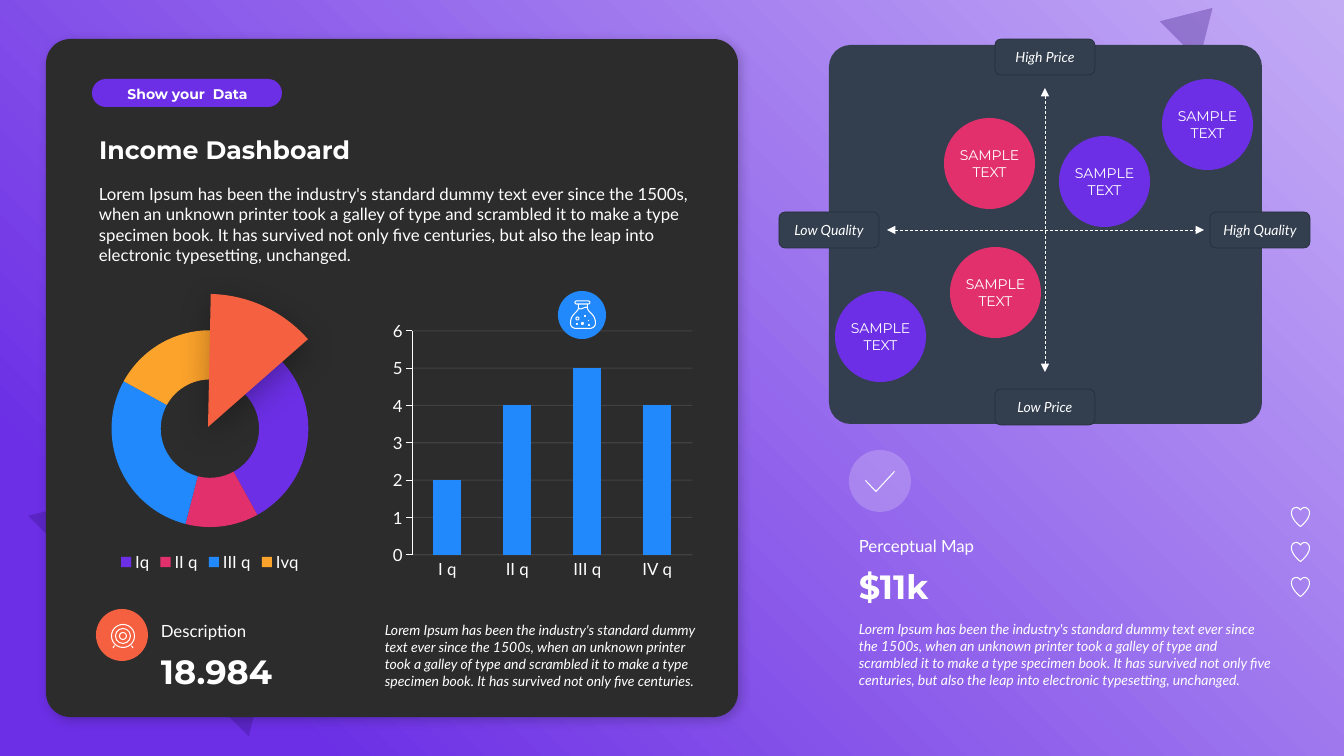
from lxml.etree import SubElement as Sub
from pptx import Presentation
from pptx.chart.data import CategoryChartData as Data
from pptx.dml.color import RGBColor as RGB
from pptx.enum.chart import XL_CHART_TYPE as Kind, XL_LEGEND_POSITION as Pos, XL_TICK_MARK as Tick
from pptx.enum.dml import MSO_LINE as Dash
from pptx.enum.shapes import MSO_CONNECTOR as Conn, MSO_SHAPE as Geo
from pptx.enum.text import MSO_ANCHOR as Anchor, MSO_AUTO_SIZE as Auto, PP_ALIGN as Align
from pptx.oxml.ns import qn
from pptx.util import Pt

UNIT = 12192000 / 1344
WHITE, DARK, SLATE = "FFFFFF", "2C2C2C", "333F4F"
VIOLET, PINK, BLUE, AMBER, CORAL = "6C2FE5", "E1306C", "2189FB", "FCA32C", "F56040"
LOREM = ("Lorem Ipsum has been the industry's standard dummy text ever since the 1500s, "
         "when an unknown printer took a galley of type and scrambled it to make a type "
         "specimen book. It has survived not only five centuries")
LONG = LOREM + ", but also the leap into electronic typesetting, unchanged."


def px(*nums):
    return [round(n * UNIT) for n in nums]


def paint(fill, color, alpha=100):
    fill.solid()
    fill.fore_color.rgb = RGB.from_string(color)
    if alpha < 100:
        tone = fill._xPr.find(".//" + qn("a:srgbClr"))
        Sub(tone, qn("a:alpha"), val=str(alpha * 1000))


def style(font, size, face="Lato", color=WHITE, bold=False, italic=False):
    font.size, font.name, font.bold, font.italic = Pt(size), face, bold, italic
    paint(font.fill, color)


def write(frame, text, align=Align.LEFT, anchor=Anchor.TOP, after=0, **font):
    frame.word_wrap, frame.auto_size = True, Auto.NONE
    frame.vertical_anchor = anchor
    par = frame.paragraphs[0]
    par.alignment, par.space_after = align, Pt(after)
    run = par.add_run()
    run.text = text
    style(run.font, **font)


def place(chart, x, y, w, h):
    """Fix the inner plot area, as shares of the chart frame."""
    area = chart._chartSpace.find(".//" + qn("c:plotArea"))
    for old in area.findall(qn("c:layout")):
        area.remove(old)
    box = Sub(area, qn("c:layout"))
    area.insert(0, box)
    box = Sub(box, qn("c:manualLayout"))
    Sub(box, qn("c:layoutTarget"), val="inner")
    for key in "xy":
        Sub(box, qn(f"c:{key}Mode"), val="edge")
    for key, val in zip("xywh", (x, y, w, h)):
        Sub(box, qn("c:" + key), val=str(val))


def bend(start, steps, parts=10):
    """Turn cubic curves (6 numbers) and lines (2 numbers) into points."""
    dots = [start]
    for step in steps:
        if len(step) == 2:
            dots.append(step)
            continue
        ctrl = [dots[-1], step[:2], step[2:4], step[4:]]
        for i in range(1, parts + 1):
            t = i / parts
            mix = ((1 - t) ** 3, 3 * t * (1 - t) ** 2, 3 * t * t * (1 - t), t ** 3)
            dots.append(tuple(sum(m * c[k] for m, c in zip(mix, ctrl)) for k in (0, 1)))
    return dots


class Board:
    def __init__(self, deck):
        self.page = deck.slides.add_slide(deck.slide_layouts[5])
        self.items = self.page.shapes

    def back(self, near, far):
        fill = self.page.background.fill
        fill.gradient()
        for stop, color, at in zip(fill.gradient_stops, (near, far), (0, 0.85)):
            stop.color.rgb, stop.position = RGB.from_string(color), at
        grad = self.page.element.find(".//" + qn("a:gradFill"))
        grad.remove(grad.find(qn("a:lin")))
        route = Sub(grad, qn("a:path"), path="circle")
        Sub(route, qn("a:fillToRect"), l="100000", b="100000")
        Sub(grad, qn("a:tileRect"), t="-100000", r="-100000")

    def finish(self, item, fill=None, alpha=100, line=None, width=0.75):
        item.shadow.inherit = False
        if fill:
            paint(item.fill, fill, alpha)
        else:
            item.fill.background()
        if line:
            paint(item.line.fill, line)
            item.line.width = Pt(width)
        else:
            item.line.fill.background()
        return item

    def shape(self, geo, box, adj=(), turn=0, **look):
        item = self.finish(self.items.add_shape(geo, *px(*box)), **look)
        item.rotation = turn
        for i, val in enumerate(adj):
            item.adjustments[i] = val
        return item

    def shade(self, item, alpha, blur, dist, angle):
        node = Sub(item._element.spPr.find(qn("a:effectLst")), qn("a:outerShdw"),
                   blurRad=str(Pt(blur)), dist=str(Pt(dist)), dir=str(angle * 60000),
                   algn="ctr", rotWithShape="0")
        Sub(Sub(node, qn("a:srgbClr"), val="000000"), qn("a:alpha"), val=str(alpha * 1000))

    def text(self, box, text, **form):
        write(self.items.add_textbox(*px(*box)).text_frame, text, **form)

    def title(self, box, text, **form):
        item = self.items.title
        item.left, item.top, item.width, item.height = px(*box)
        tree = item._element.getparent()
        tree.append(item._element)
        write(item.text_frame, text, **form)

    def arrow(self, *ends):
        item = self.items.add_connector(Conn.STRAIGHT, *px(*ends))
        paint(item.line.fill, WHITE)
        item.line.width, item.line.dash_style = Pt(0.5), Dash.DASH
        for end in ("headEnd", "tailEnd"):
            Sub(item.line._get_or_add_ln(), qn("a:" + end), type="triangle")
        Sub(item._element.spPr, qn("a:effectLst"))

    def stroke(self, x, y, start, *steps, close=False):
        """Draw a white outline; its points are tenths of a px from x, y."""
        dots = bend(start, steps)
        pen = self.items.build_freeform(*dots[0], scale=UNIT / 10)
        pen.add_line_segments(dots[1:], close=close)
        self.finish(pen.convert_to_shape(*px(x, y)), line=WHITE)

    def chart(self, kind, box, names, vals, size):
        data = Data()
        data.categories = names
        data.add_series("Series 1", vals)
        chart = self.items.add_chart(kind, *px(*box), data).chart
        style(chart.font, size)
        chart.has_title = chart.has_legend = False
        return chart


def main():
    deck = Presentation()
    deck.slide_width, deck.slide_height = px(1344, 756)
    board = Board(deck)
    mid = dict(align=Align.CENTER, anchor=Anchor.MIDDLE)
    head = dict(face="Montserrat", bold=True)
    note = dict(size=10, italic=True, after=6)

    # Backdrop and dark panel
    board.back("C4ACF5", VIOLET)
    for box in ((74, 405, 312, 259), (1168, 1, 56, 47)):
        board.shape(Geo.ISOSCELES_TRIANGLE, box, turn=45, fill="330F7B", alpha=30)
    panel = board.shape(Geo.ROUNDED_RECTANGLE, (46, 39, 692, 678), adj=[0.036], fill=DARK)
    board.shade(panel, 20, 8, 3, 45)

    # Heading
    board.text((89, 179, 621, 92), LONG, size=12, after=6)
    board.title((89, 130, 621, 40), "Income Dashboard", size=18, anchor=Anchor.BOTTOM, **head)
    board.shape(Geo.ROUNDED_RECTANGLE, (92, 79, 190, 28), adj=[0.5], fill=VIOLET)
    board.text((100, 80, 175, 27), "Show your  Data", size=10, **mid, **head)

    # Doughnut with raised wedge
    ring = board.chart(Kind.DOUGHNUT, (67, 316, 286, 260), ["Iq", "II q", "III q", "Ivq"],
                       (42, 12, 29, 17), 10)
    place(ring, 0.155, 0.055, 0.69, 0.757)
    ring.has_legend = True
    ring.legend.position, ring.legend.include_in_layout = Pos.BOTTOM, False
    style(ring.legend.font, 12)
    for i, color in enumerate((VIOLET, PINK, BLUE, AMBER)):
        part = ring.plots[0].series[0].points[i].format
        paint(part.fill, color)
        part.line.fill.background()
    wedge = board.shape(Geo.ARC, (75, 294, 266, 266), adj=[162.715, 191.224], fill=CORAL)
    board.shade(wedge, 30, 23, 6, 90)

    # Figures with a caption above
    for x, w, y, label, value in ((151, 187, 616, "Description", "18.984"),
                                  (849, 437, 531, "Perceptual Map", "$11k")):
        board.text((x, y, w, 30), label, size=12, anchor=Anchor.BOTTOM)
        board.text((x, y + 30, w, 50), value, size=24, anchor=Anchor.BOTTOM, **head)

    # Target icon
    board.shape(Geo.OVAL, (96, 609, 52, 52), fill=CORAL)
    for d in (23, 15, 7):
        board.shape(Geo.OVAL, (123 - d / 2, 636 - d / 2, d, d), line=WHITE)
    for top, foot in ((35, 20), (205, 220)):
        board.stroke(111, 624, (top, 215), (foot, 240))

    # Column chart
    bars = board.chart(Kind.COLUMN_CLUSTERED, (386, 316, 311, 269),
                       ["I q", "II q", "III q", "IV q"], (2, 4, 5, 4), 12)
    place(bars, 0.085, 0.055, 0.9, 0.833)
    plot = bars.plots[0]
    plot.gap_width, plot.vary_by_categories = 150, False
    paint(plot.series[0].format.fill, BLUE)
    cats, vals = bars.category_axis, bars.value_axis
    cats.major_tick_mark = Tick.NONE
    cats.format.line.fill.background()
    vals.minimum_scale, vals.maximum_scale, vals.major_unit = 0, 6, 1
    vals.major_tick_mark = Tick.OUTSIDE
    paint(vals.format.line.fill, WHITE)
    grid = vals.major_gridlines.format.line
    paint(grid.fill, WHITE, 10)
    grid.width = Pt(0.75)
    board.text((375, 617, 335, 78), LOREM + ".", **note)

    # Flask icon
    board.shape(Geo.OVAL, (558, 291, 48, 48), fill=BLUE)
    board.shape(Geo.ROUNDED_RECTANGLE, (575, 301, 15, 3), adj=[0.5], line=WHITE)
    board.stroke(570, 300, (85, 40), (85, 80), (85, 120, 5, 140, 5, 230),
                 (5, 285, 60, 285, 60, 285), (195, 285), (195, 285, 255, 285, 255, 230),
                 (255, 140, 175, 120, 175, 80), (175, 40))
    board.stroke(570, 300, (85, 80), (115, 110, 140, 60, 175, 75))
    board.shape(Geo.OVAL, (576, 317, 3, 3), line=WHITE)
    for x, y, d in ((576, 323, 2), (588, 324, 2), (588, 320, 1), (584, 315, 2), (581, 322, 3)):
        board.shape(Geo.OVAL, (x, y, d, d), fill=WHITE)

    # Perceptual map
    board.shape(Geo.ROUNDED_RECTANGLE, (829, 45, 433, 379), adj=[0.057], fill=SLATE)
    board.arrow(887, 230, 1204, 230)
    board.arrow(1045, 372, 1045, 88)
    for x, y, label in ((995, 39, "High Price"), (995, 389, "Low Price"),
                        (779, 212, "Low Quality"), (1210, 212, "High Quality")):
        tag = board.shape(Geo.ROUNDED_RECTANGLE, (x, y, 100, 36), fill=SLATE,
                          line="262F3B", width=0.5)
        write(tag.text_frame, label, size=10, italic=True, **mid)
    for x, y, color in ((944, 118, PINK), (950, 247, PINK), (835, 291, VIOLET),
                        (1059, 136, VIOLET), (1162, 79, VIOLET)):
        spot = board.shape(Geo.OVAL, (x, y, 91, 91), fill=color).text_frame
        spot.margin_left = spot.margin_right = 0
        write(spot, "SAMPLE TEXT", size=10, face="Montserrat", **mid)

    # Map summary, check mark and hearts
    board.text((849, 616, 437, 78), LONG, **note)
    board.shape(Geo.OVAL, (849, 450, 62, 62), fill=WHITE, alpha=20)
    board.stroke(865, 471, (5, 95), (110, 205), (295, 5))
    for i in range(3):
        board.stroke(1291, 507 + 35 * i, (185, 60), (185, 30, 165, 5, 135, 5),
                     (120, 5, 105, 15, 95, 30), (85, 15, 70, 5, 55, 5), (20, 5, 5, 30, 5, 60),
                     (5, 120, 80, 185, 95, 195), (110, 185, 185, 120, 185, 60), close=True)
    deck.save("out.pptx")


if __name__ == "__main__":
    main()
